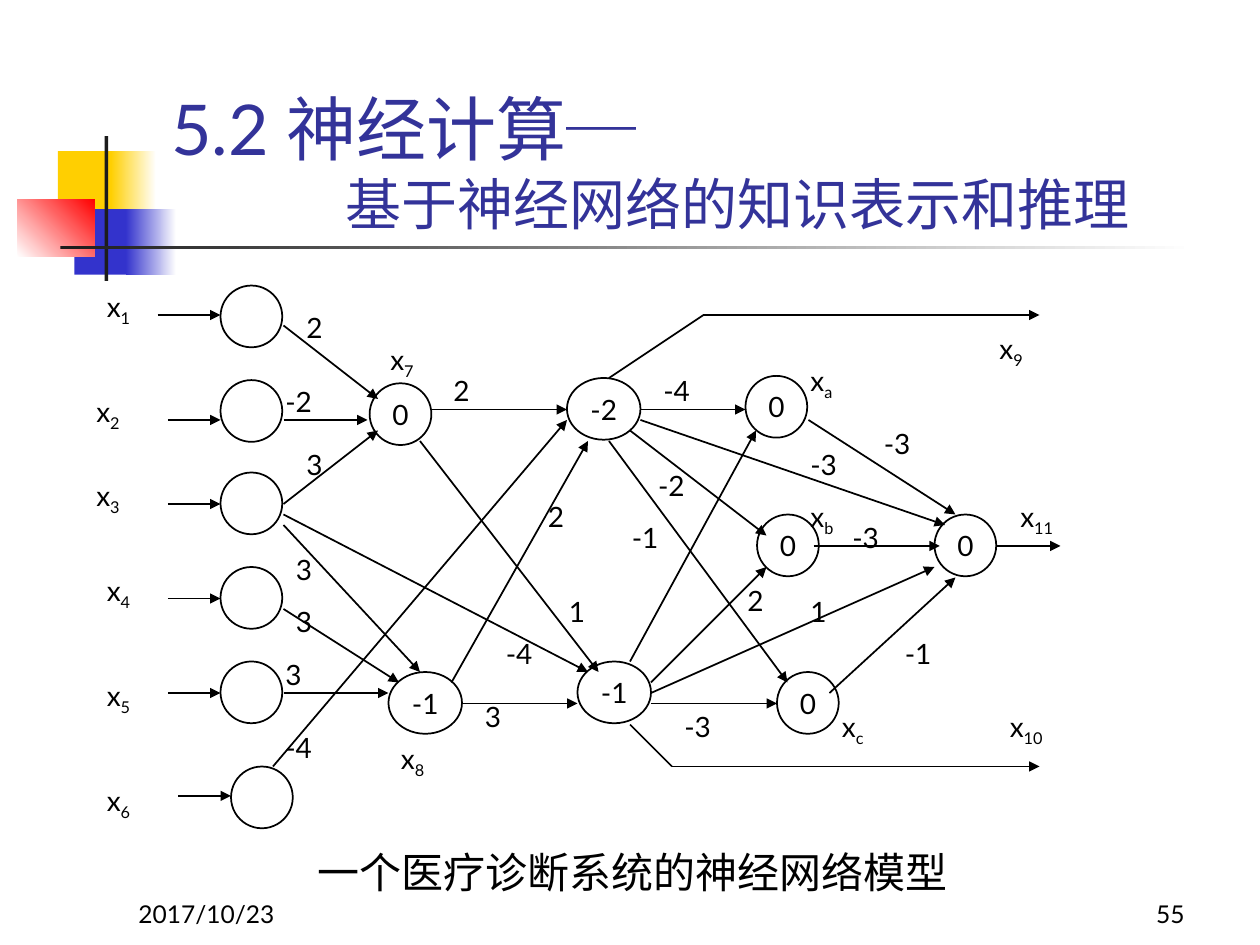
from itertools import pairwise

from lxml import etree
from pptx import Presentation
from pptx import util as u
from pptx.dml.color import RGBColor
from pptx.enum import shapes, text
from pptx.oxml import ns

FONT = "Lato"
BLACK = RGBColor(0x00, 0x00, 0x00)
WHITE = RGBColor(0xFF, 0xFF, 0xFF)
CHARCOAL = RGBColor(0x1C, 0x1C, 0x1C)
YELLOW = RGBColor(0xFF, 0xCF, 0x01)
BLUE = RGBColor(0x33, 0x33, 0xCC)
RED = RGBColor(0xFF, 0x00, 0x00)
TITLE_BLUE = RGBColor(0x33, 0x33, 0x99)

GRID = 12  # grid units per inch; the whole network is laid out on it
NODE_SIZE, WIDE_NODE = 5.88, 7
LABEL_SIZE = (6, 4.44)

# left, top, width, height in inches; colours; gradient angle
ORNAMENTS = [
    (0.46, 1.2, 0.48, 0.52, [YELLOW], 0),
    (0.88, 1.2, 0.36, 0.52, [YELLOW, WHITE], 0),
    (0.59, 1.66, 0.46, 0.52, [BLUE], 0),
    (1, 1.66, 0.4, 0.52, [BLUE, WHITE], 0),
    (0.14, 1.58, 0.61, 0.46, [WHITE, RED], 45),
    (0.83, 1.08, 0.03, 1.15, [CHARCOAL], 0),
    (0.48, 1.95, 9, 0.03, [CHARCOAL, WHITE], 0),
]

TITLE_LINES = [("5.2 神经计算─", 40, 0), ("基于神经网络的知识表示和推理", 32, 1.38)]

# left, top, width, height in inches; wording, size, alignment, anchor
CAPTIONS = [
    (2.42, 6.67, 5.67, 0.5, "一个医疗诊断系统的神经网络模型", 24,
     text.PP_ALIGN.LEFT, text.MSO_ANCHOR.TOP),
    (1, 6.92, 2.08, 0.5, "2017/10/23", 14, text.PP_ALIGN.LEFT, text.MSO_ANCHOR.BOTTOM),
    (7.42, 6.92, 2.08, 0.5, "55", 14, text.PP_ALIGN.RIGHT, text.MSO_ANCHOR.BOTTOM),
]

# left, top, threshold (grid units from here on)
NODES = [
    (21, 27.2, ""), (21, 36.2, ""), (21, 45, ""),
    (21, 54, ""), (21, 63, ""), (22, 73, ""),
    (35.2, 36.5, "0"), (37, 64, "-1"), (54, 36, "-2"), (55, 63, "-1"),
    (71, 35.8, "0"), (72.1, 49, "0"), (74, 64, "0"), (89, 49, "0"),
]

# Points of each path; the last segment carries the arrowhead
INPUT_PATHS = [
    [(15, 30), (21, 30)], [(16, 40), (21, 40)], [(16, 48), (21, 48)],
    [(16, 57), (21, 57)], [(16, 66), (21, 66)], [(17, 75.8), (22, 75.8)],
]
HIDDEN_PATHS = [
    [(27, 31), (36, 38)], [(27, 40), (35, 40)], [(27, 48), (36, 41)],
    [(27, 49), (56, 64)], [(27, 50), (40, 64)], [(27, 58), (38, 65)],
    [(27, 66), (37, 66)], [(26, 73), (54, 40)],
    [(41, 39), (54, 39)], [(40, 42), (57, 64)],
    [(43, 65), (56, 42)], [(44, 67), (55, 67)],
]
OUTPUT_PATHS = [
    [(58, 36), (67, 30), (99, 30)], [(61, 39), (71, 39)], [(61, 40), (90, 50)],
    [(60, 41), (73, 51)], [(58, 42), (75, 65)],
    [(60, 63), (72, 41)], [(62, 65), (73, 54)], [(62, 66), (89, 54)],
    [(62, 67), (74, 67)], [(60, 69), (64, 73), (99, 73)],
    [(77, 40), (91, 49)], [(77.5, 52), (89.5, 52)], [(79, 66), (91, 55)],
    [(95, 52), (101, 52)],
]

# left, top, subscript of x
VARIABLES = [
    (9, 27, "1"), (8, 37, "2"), (8, 45, "3"), (9, 54, "4"), (9, 64, "5"), (9, 74, "6"),
    (36, 32, "7"), (37, 70, "8"), (94, 31, "9"), (95, 67, "10"), (96, 47, "11"),
    (76, 34, "a"), (76, 47, "b"), (79, 67, "c"),
]

# left, top, weight
WEIGHTS = [
    (28, 29, "2"), (26, 36, "-2"), (28, 42, "3"), (27, 52, "3"), (27, 57, "3"),
    (26, 62, "3"), (26, 69, "-4"), (42, 35, "2"), (51, 47, "2"), (53, 56, "1"),
    (47, 60, "-4"), (45, 66, "3"), (62, 35, "-4"), (61.5, 44, "-2"), (59, 49, "-1"),
    (76, 42, "-3"), (83, 40, "-3"), (80, 49, "-3"), (70, 55, "2"), (76, 56, "1"),
    (64, 67, "-3"), (85, 60, "-1"),
]


def grid(*lengths):
    return [u.Inches(length / GRID) for length in lengths]


def inches(*lengths):
    return [u.Inches(length) for length in lengths]


def write(paragraph, wording, size=16, color=BLACK, align=text.PP_ALIGN.LEFT,
          subscript=False, indent=0):
    paragraph.alignment = align
    run = paragraph.add_run()
    run.text = wording
    run.font.name = FONT
    run.font.size = u.Pt(size)
    run.font.color.rgb = color
    if subscript:
        run.font._element.set("baseline", "-25000")
    if indent:
        properties = paragraph._p.get_or_add_pPr()
        properties.set("marL", str(u.Inches(indent)))
        properties.set("indent", "0")


def add_text_box(slide, box, anchor=text.MSO_ANCHOR.TOP):
    """Add an empty wrapped text box and return its first paragraph."""
    frame = slide.shapes.add_textbox(*box).text_frame
    frame.word_wrap = True
    frame.vertical_anchor = anchor
    return frame.paragraphs[0]


def add_ornament(slide, box, colors, angle):
    shape = slide.shapes.add_shape(shapes.MSO_SHAPE.RECTANGLE, *inches(*box))
    shape.shadow.inherit = False
    shape.line.fill.background()
    if len(colors) == 1:
        shape.fill.solid()
        shape.fill.fore_color.rgb = colors[0]
        return
    shape.fill.gradient()
    shape.fill.gradient_angle = angle
    for position, (stop, color) in enumerate(zip(shape.fill.gradient_stops, colors)):
        stop.position = position
        stop.color.rgb = color


def add_node(slide, left, top, threshold):
    width = WIDE_NODE if threshold.startswith("-") else NODE_SIZE
    shape = slide.shapes.add_shape(shapes.MSO_SHAPE.OVAL, *grid(left, top, width, NODE_SIZE))
    shape.shadow.inherit = False
    shape.fill.background()
    shape.line.color.rgb = BLACK
    shape.line.width = u.Pt(1)
    if threshold:
        frame = shape.text_frame
        frame.margin_left = frame.margin_right = frame.margin_top = frame.margin_bottom = 0
        frame.vertical_anchor = text.MSO_ANCHOR.MIDDLE
        write(frame.paragraphs[0], threshold, align=text.PP_ALIGN.CENTER)


def add_path(slide, points):
    for start, end in pairwise(points):
        connector = slide.shapes.add_connector(
            shapes.MSO_CONNECTOR.STRAIGHT, *grid(*start, *end))
        connector.line.color.rgb = BLACK
        connector.line.width = u.Pt(1)
        etree.SubElement(connector._element.spPr, ns.qn("a:effectLst"))
    etree.SubElement(connector.line._get_or_add_ln(), ns.qn("a:tailEnd"), type="triangle")


def add_title(slide):
    title = slide.shapes.title
    title.left, title.top, title.width, title.height = inches(1.26, 0.68, 8.52, 1.25)
    frame = title.text_frame
    frame.auto_size = text.MSO_AUTO_SIZE.NONE
    frame.vertical_anchor = text.MSO_ANCHOR.BOTTOM
    frame.add_paragraph()
    for paragraph, (wording, size, indent) in zip(frame.paragraphs, TITLE_LINES):
        write(paragraph, wording, size=size, color=TITLE_BLUE, indent=indent)


def main():
    presentation = Presentation()
    presentation.slide_width, presentation.slide_height = inches(10, 7.5)
    slide = presentation.slides.add_slide(presentation.slide_layouts[5])
    for *box, colors, angle in ORNAMENTS:
        add_ornament(slide, box, colors, angle)
    add_title(slide)
    for node in NODES:
        add_node(slide, *node)
    for points in INPUT_PATHS + HIDDEN_PATHS + OUTPUT_PATHS:
        add_path(slide, points)
    for left, top, index in VARIABLES:
        paragraph = add_text_box(slide, grid(left, top, *LABEL_SIZE))
        write(paragraph, "x")
        write(paragraph, index, subscript=True)
    for left, top, weight in WEIGHTS:
        write(add_text_box(slide, grid(left, top, *LABEL_SIZE)), weight)
    for *box, wording, size, align, anchor in CAPTIONS:
        write(add_text_box(slide, inches(*box), anchor), wording, size=size, align=align)
    presentation.save("out.pptx")


if __name__ == "__main__":
    main()
